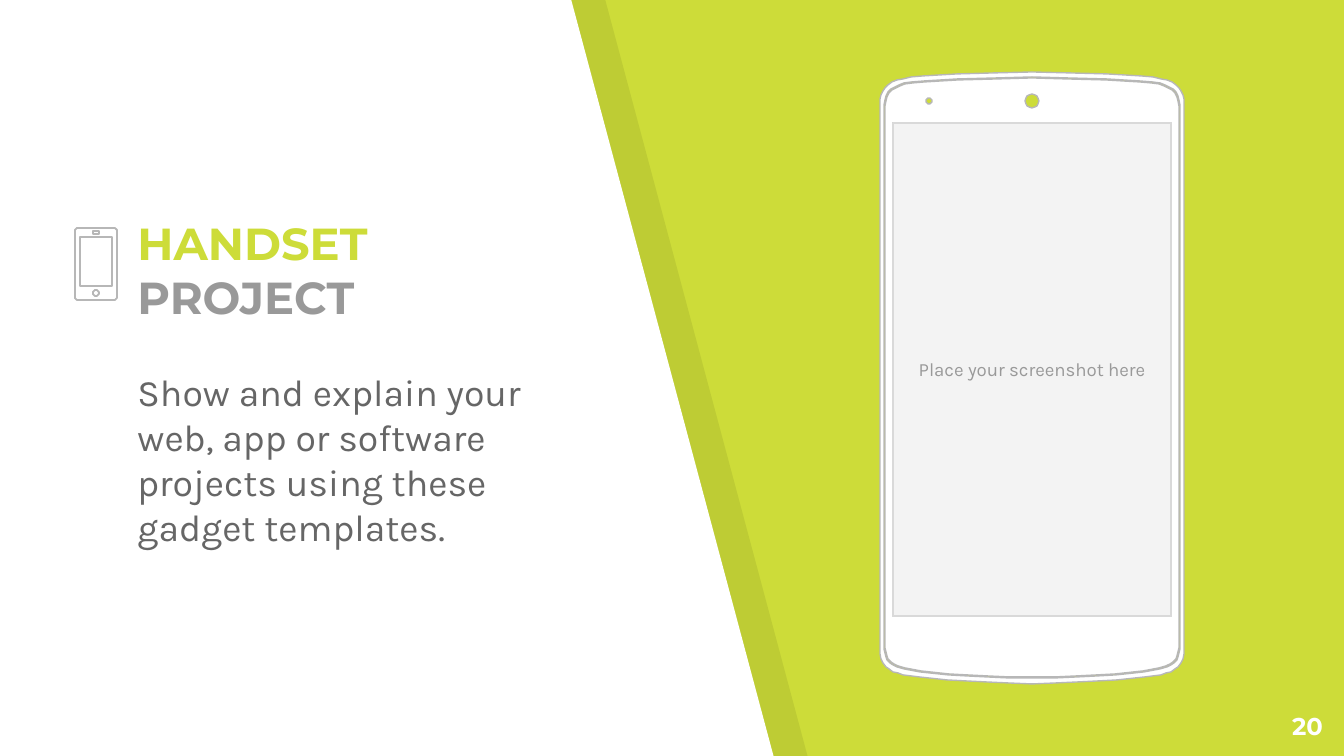
from dataclasses import dataclass
from math import cos, pi, sin

from lxml import etree
from pptx import Presentation
from pptx import util as u
from pptx.dml.color import RGBColor
from pptx.enum import shapes, text
from pptx.oxml.ns import qn

EMU_PER_PX = 914400 / 134.4

LIME = RGBColor(0xCD, 0xDC, 0x39)
WHITE = RGBColor(0xFF, 0xFF, 0xFF)
BLACK = RGBColor(0x00, 0x00, 0x00)
OUTLINE = RGBColor(0xB7, 0xB7, 0xB7)
SCREEN_FILL = RGBColor(0xF3, 0xF3, 0xF3)
SCREEN_EDGE = RGBColor(0xD9, 0xD9, 0xD9)
MID_GRAY = RGBColor(0x99, 0x99, 0x99)
BODY_GRAY = RGBColor(0x66, 0x66, 0x66)

Contour = list[tuple[float, float]]


@dataclass(frozen=True)
class Box:
    left: int
    top: int
    width: int
    height: int

    def emu(self) -> list[int]:
        return [px(n) for n in (self.left, self.top, self.width, self.height)]


@dataclass(frozen=True)
class Style:
    font: str
    size: int
    color: RGBColor
    bold: bool = False
    align: text.PP_ALIGN = text.PP_ALIGN.LEFT


def px(length: int) -> int:
    return round(length * EMU_PER_PX)


def rounded(box: Box, radius: int = 0) -> Contour:
    """Rectangle contour; a radius of half the width makes a circle."""
    right, bottom = box.left + box.width, box.top + box.height
    if not radius:
        return [(box.left, box.top), (right, box.top),
                (right, bottom), (box.left, bottom)]
    centers = [(right - radius, bottom - radius), (box.left + radius, bottom - radius),
               (box.left + radius, box.top + radius), (right - radius, box.top + radius)]
    return [(x + radius * cos(angle), y + radius * sin(angle))
            for corner, (x, y) in enumerate(centers)
            for angle in (pi / 2 * (corner + step / 4) for step in range(5))]


def mirrored(half: Contour, center: int) -> Contour:
    """Close a half contour given as offsets from a vertical axis."""
    return ([(center + x, y) for x, y in half]
            + [(center - x, y) for x, y in half[-2:0:-1]])


def draw_outline(slide, contours: list[Contour], fill: RGBColor | None = None,
                 line: RGBColor | None = None, line_width: float = 0.75):
    first, *others = contours
    builder = slide.shapes.build_freeform(*first[0], scale=EMU_PER_PX)
    builder.add_line_segments(first[1:], close=True)
    for contour in others:
        builder.move_to(*contour[0])
        builder.add_line_segments(contour[1:], close=True)
    outline = builder.convert_to_shape()
    paint(outline, fill, line, line_width)
    return outline


def paint(shape, fill: RGBColor | None, line: RGBColor | None, width: float) -> None:
    shape.shadow.inherit = False
    if fill is None:
        shape.fill.background()
    else:
        shape.fill.solid()
        shape.fill.fore_color.rgb = fill
    if line is None:
        shape.line.fill.background()
    else:
        shape.line.color.rgb = line
        shape.line.width = u.Pt(width)


def prepare_text(shape, style: Style, anchor=text.MSO_ANCHOR.TOP):
    """Set the frame and return its first paragraph, ready for words."""
    frame = shape.text_frame
    frame.word_wrap = True
    frame.auto_size = text.MSO_AUTO_SIZE.NONE
    frame.vertical_anchor = anchor
    frame.margin_left = frame.margin_right = u.Inches(0.1)
    frame.margin_top = frame.margin_bottom = u.Inches(0.1)
    paragraph = frame.paragraphs[0]
    paragraph.alignment = style.align
    paragraph.font.name = style.font
    paragraph.font.size = u.Pt(style.size)
    paragraph.font.bold = style.bold
    paragraph.font.color.rgb = style.color
    return paragraph


def place(slide, placeholder, box: Box) -> None:
    """Position a placeholder and bring it in front of the shapes so far."""
    placeholder.left, placeholder.top, placeholder.width, placeholder.height = box.emu()
    slide.shapes._spTree.append(placeholder._element)


def draw_panels(slide) -> None:
    panel = [(-1, -1), (571, -1), (774, 758), (-1, 758)]
    shade = draw_outline(slide, [[(x + 34, y) for x, y in panel]], BLACK)
    color = shade.fill._xPr.find(qn("a:solidFill"))[0]
    etree.SubElement(color, qn("a:alpha")).set("val", "7000")
    draw_outline(slide, [panel], WHITE)


def draw_phone(slide) -> None:
    body = [(0, 72), (38, 73), (75, 74), (109, 76), (121, 77), (129, 79), (135, 80),
            (140, 82), (144, 85), (147, 88), (149, 91), (151, 95), (152, 99), (152, 105),
            (152, 649), (152, 654), (151, 659), (149, 663), (146, 667), (143, 669),
            (139, 672), (134, 673), (129, 675), (113, 677), (85, 680), (66, 681),
            (46, 682), (24, 683), (0, 684)]
    bezel = [(0, 77), (36, 78), (75, 79), (108, 81), (120, 82), (128, 83), (133, 85),
             (137, 87), (141, 89), (144, 92), (146, 96), (147, 100), (148, 105),
             (148, 649), (147, 653), (146, 657), (145, 660), (142, 663), (139, 665),
             (135, 667), (128, 669), (112, 672), (84, 675), (66, 676), (46, 677),
             (24, 678), (0, 678)]
    bezel_inside = [(max(x - 1, 0), y + 1 if y < 378 else y - 1) for x, y in bezel]
    screen = Box(893, 123, 278, 493)
    camera = rounded(Box(1025, 94, 14, 14), 7)
    sensor = rounded(Box(926, 98, 6, 6), 3)
    rims = [mirrored(half, 1032) for half in (body, bezel, bezel_inside)]
    draw_outline(slide, [*rims, rounded(screen), camera, sensor], WHITE, OUTLINE)

    # Screen area
    display = slide.shapes.add_shape(shapes.MSO_SHAPE.RECTANGLE, *screen.emu())
    paint(display, SCREEN_FILL, SCREEN_EDGE, 0.75)
    style = Style("Karla", 10, MID_GRAY, align=text.PP_ALIGN.CENTER)
    hint = prepare_text(display, style, text.MSO_ANCHOR.MIDDLE)
    hint.add_run().text = "Place your screenshot here"


def write_title(slide) -> None:
    title = slide.shapes.title
    place(slide, title, Box(124, 266, 462, 71))
    heading = prepare_text(title, Style("Montserrat", 24, LIME, True),
                           text.MSO_ANCHOR.BOTTOM)
    heading.add_run().text = "HANDSET"
    heading.add_line_break()
    project = heading.add_run()
    project.text = "PROJECT"
    project.font.color.rgb = MID_GRAY


def write_body(slide) -> None:
    body = slide.placeholders[1]
    place(slide, body, Box(124, 356, 462, 332))
    explanation = prepare_text(body, Style("Karla", 20, BODY_GRAY))
    explanation.space_before = u.Pt(6)
    explanation.add_run().text = ("Show and explain your web, app or software "
                                  "projects using these gadget templates.")
    properties = explanation._p.get_or_add_pPr()
    properties.set("marL", "0")
    properties.set("indent", "0")
    bullet = etree.Element(qn("a:buNone"))
    properties.find(qn("a:defRPr")).addprevious(bullet)


def draw_phone_icon(slide) -> None:
    case = rounded(Box(75, 228, 42, 72), 4)
    speaker = rounded(Box(93, 231, 6, 3), 1)
    button = rounded(Box(93, 290, 6, 6), 3)
    screen = rounded(Box(80, 237, 32, 49))
    draw_outline(slide, [case, speaker, button, screen], line=OUTLINE, line_width=0.96)


def write_page_number(slide) -> None:
    corner = slide.shapes.add_textbox(*Box(1255, 698, 81, 58).emu())
    style = Style("Montserrat", 13, WHITE, True, text.PP_ALIGN.RIGHT)
    prepare_text(corner, style).add_run().text = "20"


def main() -> None:
    deck = Presentation()
    deck.slide_width, deck.slide_height = px(1344), px(756)
    slide = deck.slides.add_slide(deck.slide_layouts[1])
    slide.background.fill.solid()
    slide.background.fill.fore_color.rgb = LIME
    draw_panels(slide)
    draw_phone(slide)
    write_title(slide)
    write_body(slide)
    draw_phone_icon(slide)
    write_page_number(slide)
    deck.save("out.pptx")


if __name__ == "__main__":
    main()
